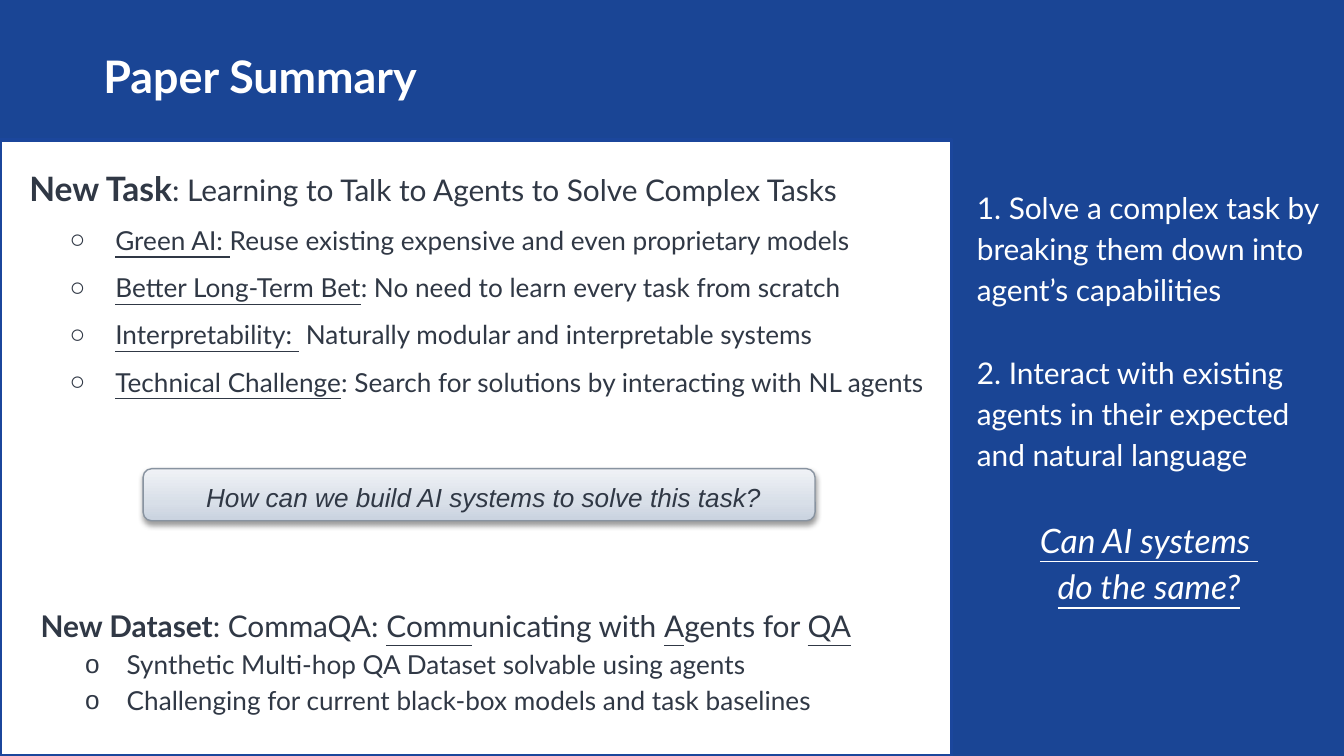
from dataclasses import dataclass
from typing import NamedTuple

from lxml import etree
from pptx import Presentation
from pptx.dml.color import RGBColor
from pptx.enum.shapes import MSO_SHAPE
from pptx.enum.text import MSO_ANCHOR, MSO_AUTO_SIZE, PP_ALIGN
from pptx.oxml.ns import qn
from pptx.util import Inches, Pt

RECTANGLE, ROUNDED = MSO_SHAPE.RECTANGLE, MSO_SHAPE.ROUNDED_RECTANGLE
TOP, MIDDLE, BOTTOM = MSO_ANCHOR.TOP, MSO_ANCHOR.MIDDLE, MSO_ANCHOR.BOTTOM
LEFT, CENTER = PP_ALIGN.LEFT, PP_ALIGN.CENTER
NO_AUTOFIT = MSO_AUTO_SIZE.NONE
TITLE_ONLY = 5
WIDTH = Inches(10)
HEIGHT = WIDTH * 9 // 16


@dataclass(frozen=True)
class Theme:
    blue: str = "1A4595"
    panel_line: str = "1B469C"
    white: str = "FFFFFF"
    ink: str = "303845"
    banner_line: str = "8893A0"
    banner_stops: tuple = ((0, "C9D2DF"), (35, "D8DFE8"), (100, "F0F2F6"))
    font: str = "Lato"
    plain_font: str = "Arial"
    title: int = 24
    large: int = 18
    lead: int = 16
    detail: int = 14
    line_spacing: float = 1.15


THEME = Theme()


class Area(NamedTuple):
    """Place on the slide, in percent of its width and height."""
    left: float
    top: float
    width: float
    height: float

    def emu(self) -> tuple:
        return (round(WIDTH * self.left / 100), round(HEIGHT * self.top / 100),
                round(WIDTH * self.width / 100), round(HEIGHT * self.height / 100))


class Span(NamedTuple):
    text: str
    size: int = THEME.detail
    bold: bool = False
    italic: bool = False
    underline: bool = False


LINE_BREAK = Span("")


class Line(NamedTuple):
    spans: tuple
    align: PP_ALIGN = LEFT
    before: float = 0
    margin: float = 0.12
    indent: float = 0
    bullet: str = ""


def color(value: str) -> RGBColor:
    return RGBColor.from_string(value)


def add_element(parent, tag: str, **attributes):
    return etree.SubElement(parent, qn(tag), attributes)


def add_bullet(properties, character: str) -> None:
    add_element(add_element(properties, "a:buClr"), "a:srgbClr", val=THEME.ink)
    add_element(properties, "a:buFont", typeface=THEME.plain_font)
    add_element(properties, "a:buChar", char=character)


def write_span(paragraph, span: Span, ink: str, font: str) -> None:
    if span == LINE_BREAK:
        paragraph.add_line_break()
        return
    run = paragraph.add_run()
    run.text = span.text
    run.font.name = font
    run.font.size = Pt(span.size)
    run.font.color.rgb = color(ink)
    run.font.bold = span.bold
    run.font.italic = span.italic
    run.font.underline = span.underline


def write_lines(shape, lines: list, ink: str, font: str = THEME.font,
                inset: float = 0.05, anchor: MSO_ANCHOR = TOP) -> None:
    frame = shape.text_frame
    frame.word_wrap = True
    frame.auto_size = NO_AUTOFIT
    frame.vertical_anchor = anchor
    frame.margin_left = frame.margin_right = Inches(0.1)
    frame.margin_top = frame.margin_bottom = Inches(inset)
    for index, line in enumerate(lines):
        paragraph = frame.add_paragraph() if index else frame.paragraphs[0]
        paragraph.alignment = line.align
        paragraph.line_spacing = THEME.line_spacing
        paragraph.space_before = Pt(line.before)
        properties = paragraph._p.get_or_add_pPr()
        properties.set("marL", str(Inches(line.margin)))
        properties.set("indent", str(Inches(line.indent)))
        if line.bullet:
            add_bullet(properties, line.bullet)
        for span in line.spans:
            write_span(paragraph, span, ink, font)


def add_text(slide, area: Area, lines: list, ink: str, inset: float = 0.05) -> None:
    write_lines(slide.shapes.add_textbox(*area.emu()), lines, ink, inset=inset)


def add_box(slide, kind: MSO_SHAPE, area: Area, line: str, weight: float):
    shape = slide.shapes.add_shape(kind, *area.emu())
    shape.shadow.inherit = False
    shape.line.color.rgb = color(line)
    shape.line.width = Pt(weight)
    return shape


def style_banner(shape) -> None:
    """Three-stop gradient from the bottom up, and a soft shadow below."""
    shape.fill.gradient()
    shape.fill.gradient_angle = 90
    properties = shape._element.spPr
    stops = properties.find(".//" + qn("a:gsLst"))
    for stop in list(stops):
        stops.remove(stop)
    for position, value in THEME.banner_stops:
        stop = add_element(stops, "a:gs", pos=str(position * 1000))
        add_element(stop, "a:srgbClr", val=value)
    shadow = add_element(properties.find(qn("a:effectLst")), "a:outerShdw",
                         blurRad=str(Pt(3.1)), dist=str(Pt(1.6)),
                         dir="5400000", rotWithShape="0")
    shade = add_element(shadow, "a:srgbClr", val="000000")
    add_element(shade, "a:alpha", val="38000")


def task_point(name: str, rest: str) -> Line:
    return Line((Span(name, underline=True), Span(rest)),
                before=6, margin=0.76, indent=-0.34, bullet="○")


def dataset_point(text: str) -> Line:
    return Line((Span(text),), margin=0.76, indent=-0.31, bullet="o")


def main() -> None:
    presentation = Presentation()
    presentation.slide_width, presentation.slide_height = WIDTH, HEIGHT
    slide = presentation.slides.add_slide(presentation.slide_layouts[TITLE_ONLY])
    slide.background.fill.solid()
    slide.background.fill.fore_color.rgb = color(THEME.blue)

    # Title
    title = slide.shapes.title
    title.left, title.top, title.width, title.height = Area(6.7, 4.2, 87.4, 11.2).emu()
    write_lines(title, [Line((Span("Paper Summary", THEME.title, bold=True),), margin=0)],
                THEME.white, inset=0.1, anchor=BOTTOM)
    title.text_frame.paragraphs[0].line_spacing = 1.0

    # White panel
    panel = add_box(slide, RECTANGLE, Area(0, 18.5, 70.8, 81.5), THEME.panel_line, 2)
    panel.fill.solid()
    panel.fill.fore_color.rgb = color(THEME.white)

    # Sidebar
    lead, gap = THEME.lead, 22
    add_text(slide, Area(70.5, 22.6, 28.8, 66.5), [
        Line((Span("1. Solve a complex task by breaking them down into agent’s capabilities", lead),)),
        Line((Span("2. Interact with existing agents in their expected and natural language", lead),),
             before=gap),
        Line((Span("Can AI systems ", THEME.large, italic=True, underline=True), LINE_BREAK,
              Span("do the same?", THEME.large, italic=True, underline=True)),
             align=CENTER, before=gap),
    ], THEME.white, inset=0.1)

    # Question banner
    banner = add_box(slide, ROUNDED, Area(10.65, 62, 50, 6.9), THEME.banner_line, 0.75)
    style_banner(banner)
    question = Span("How can we build AI systems to solve this task?", italic=True)
    write_lines(banner, [Line((question,), align=CENTER, margin=0.07)],
                THEME.ink, font=THEME.plain_font, anchor=MIDDLE)

    # New dataset
    add_text(slide, Area(0.85, 78.85, 69.6, 16.5), [
        Line((Span("New Dataset", lead, bold=True), Span(": CommaQA: ", lead),
              Span("Comm", lead, underline=True), Span("unicating with ", lead),
              Span("A", lead, underline=True), Span("gents for ", lead),
              Span("QA", lead, underline=True))),
        dataset_point("Synthetic Multi-hop QA Dataset solvable using agents"),
        dataset_point("Challenging for current black-box models and task baselines"),
    ], THEME.ink)

    # New task
    add_text(slide, Area(0, 20.55, 70.8, 32.9), [
        Line((Span("New Task", THEME.large, bold=True),
              Span(": Learning to Talk to Agents to Solve Complex Tasks", lead))),
        task_point("Green AI: ", "Reuse existing expensive and even proprietary models"),
        task_point("Better Long-Term Bet", ": No need to learn every task from scratch"),
        task_point("Interpretability: ", " Naturally modular and interpretable systems"),
        task_point("Technical Challenge", ": Search for solutions by interacting with NL agents"),
    ], THEME.ink)

    presentation.save("out.pptx")


if __name__ == "__main__":
    main()
